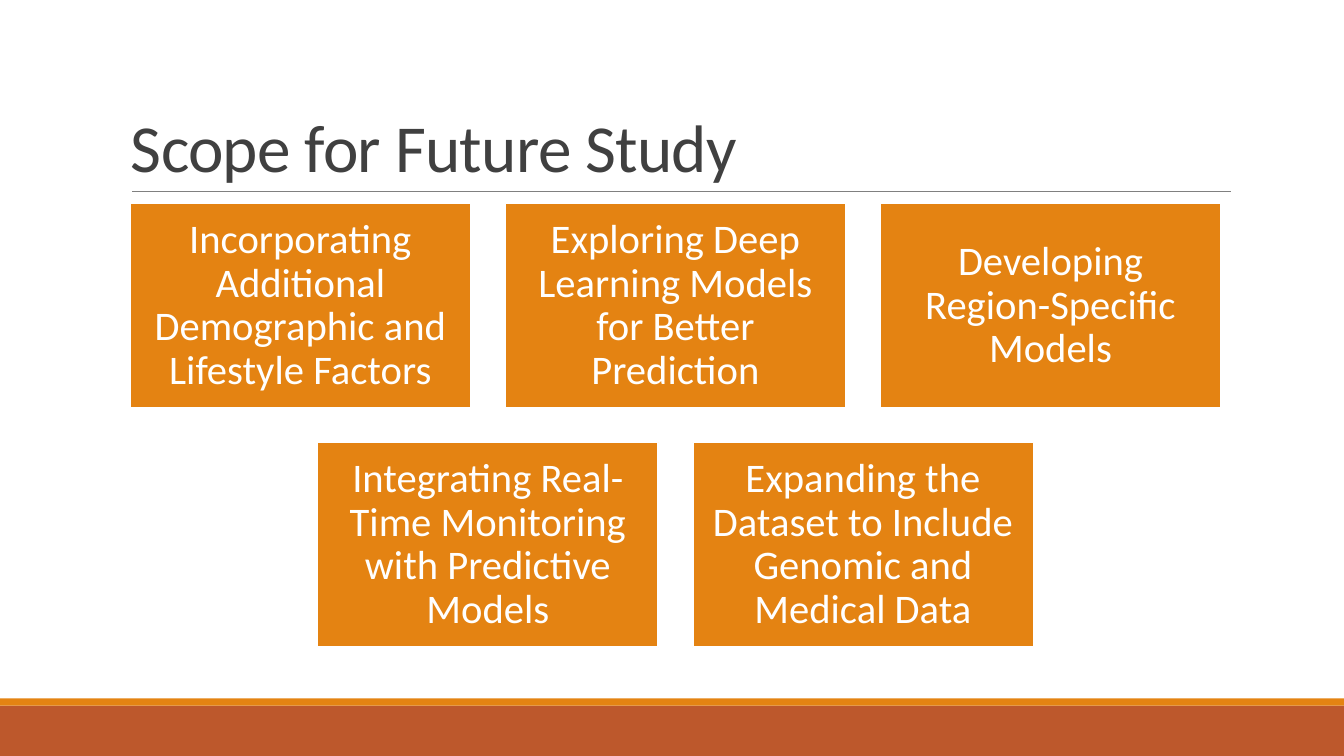
from dataclasses import dataclass

from lxml.etree import SubElement
from pptx import Presentation
from pptx.dml.color import RGBColor
from pptx.enum.shapes import MSO_CONNECTOR, MSO_SHAPE
from pptx.enum.text import MSO_ANCHOR, PP_ALIGN
from pptx.oxml.ns import qn
from pptx.util import Inches, Pt


@dataclass(frozen=True)
class Theme:
    font: str = "Calibri"
    title_size: int = 48
    card_size: int = 29
    ink: str = "404040"
    paper: str = "FFFFFF"
    accent: str = "E48312"
    footer: str = "BD582C"
    rule: str = "808080"


THEME = Theme()
PAGE_WIDTH, PAGE_HEIGHT = 13.33, 7.5
CARD_WIDTH, CARD_HEIGHT, CARD_GAP = 3.38, 2.03, 0.34
CARDS_CENTRE, CARDS_TOP = 6.7, 2.02
CARD_ROWS = [
    [
        "Incorporating Additional Demographic and Lifestyle Factors",
        "Exploring Deep Learning Models for Better Prediction",
        "Developing Region-Specific Models",
    ],
    [
        "Integrating Real-Time Monitoring with Predictive Models",
        "Expanding the Dataset to Include Genomic and Medical Data",
    ],
]


def write_text(box, text, *, size, color, anchor, align=PP_ALIGN.LEFT,
               line_spacing=1.0, inset=None, tracking=None):
    """Fill a shape with one paragraph; tracking is in points."""
    frame = box.text_frame
    frame.word_wrap = True
    frame.vertical_anchor = anchor
    if inset is not None:
        frame.margin_left = frame.margin_right = Inches(inset)
        frame.margin_top = frame.margin_bottom = Inches(inset)
    para = frame.paragraphs[0]
    para.alignment = align
    para.line_spacing = line_spacing
    span = para.add_run()
    span.text = text
    span.font.name = THEME.font
    span.font.size = Pt(size)
    span.font.color.rgb = RGBColor.from_string(color)
    if tracking is not None:
        span.font._element.set("spc", str(round(tracking * 100)))


def add_block(page, left, top, width, height, fill, outline=None):
    block = page.shapes.add_shape(
        MSO_SHAPE.RECTANGLE, Inches(left), Inches(top), Inches(width), Inches(height))
    block.shadow.inherit = False
    block.fill.solid()
    block.fill.fore_color.rgb = RGBColor.from_string(fill)
    if outline:
        block.line.color.rgb = RGBColor.from_string(outline)
        block.line.width = Pt(1.25)
    else:
        block.line.fill.background()
    return block


def add_footer(page):
    add_block(page, 0, 7, PAGE_WIDTH, PAGE_HEIGHT - 7, THEME.footer)
    add_block(page, 0, 6.93, PAGE_WIDTH, 0.07, THEME.accent)


def add_title(page, text):
    rule = page.shapes.add_connector(
        MSO_CONNECTOR.STRAIGHT, Inches(1.31), Inches(1.9), Inches(12.21), Inches(1.9))
    rule.line.color.rgb = RGBColor.from_string(THEME.rule)
    rule.line.width = Pt(0.5)
    SubElement(rule._element.spPr, qn("a:effectLst"))
    box = page.shapes.add_textbox(Inches(1.2), Inches(0.31), Inches(11), Inches(1.59))
    write_text(box, text, size=THEME.title_size, color=THEME.ink,
               anchor=MSO_ANCHOR.BOTTOM, line_spacing=0.85, tracking=-0.5)


def add_cards(page, rows):
    """Lay out equal cards, each row centred on the same axis."""
    for row, labels in enumerate(rows):
        row_width = len(labels) * (CARD_WIDTH + CARD_GAP) - CARD_GAP
        row_left = CARDS_CENTRE - row_width / 2
        top = CARDS_TOP + row * (CARD_HEIGHT + CARD_GAP)
        for column, label in enumerate(labels):
            left = row_left + column * (CARD_WIDTH + CARD_GAP)
            card = add_block(page, left, top, CARD_WIDTH, CARD_HEIGHT,
                             THEME.accent, outline=THEME.paper)
            write_text(card, label, size=THEME.card_size, color=THEME.paper,
                       anchor=MSO_ANCHOR.MIDDLE, align=PP_ALIGN.CENTER,
                       line_spacing=0.9, inset=0.12)


def main():
    deck = Presentation()
    deck.slide_width = Inches(PAGE_WIDTH)
    deck.slide_height = Inches(PAGE_HEIGHT)
    page = deck.slides.add_slide(deck.slide_layouts[6])
    add_footer(page)
    add_title(page, "Scope for Future Study")
    add_cards(page, CARD_ROWS)
    deck.save("out.pptx")


if __name__ == "__main__":
    main()
